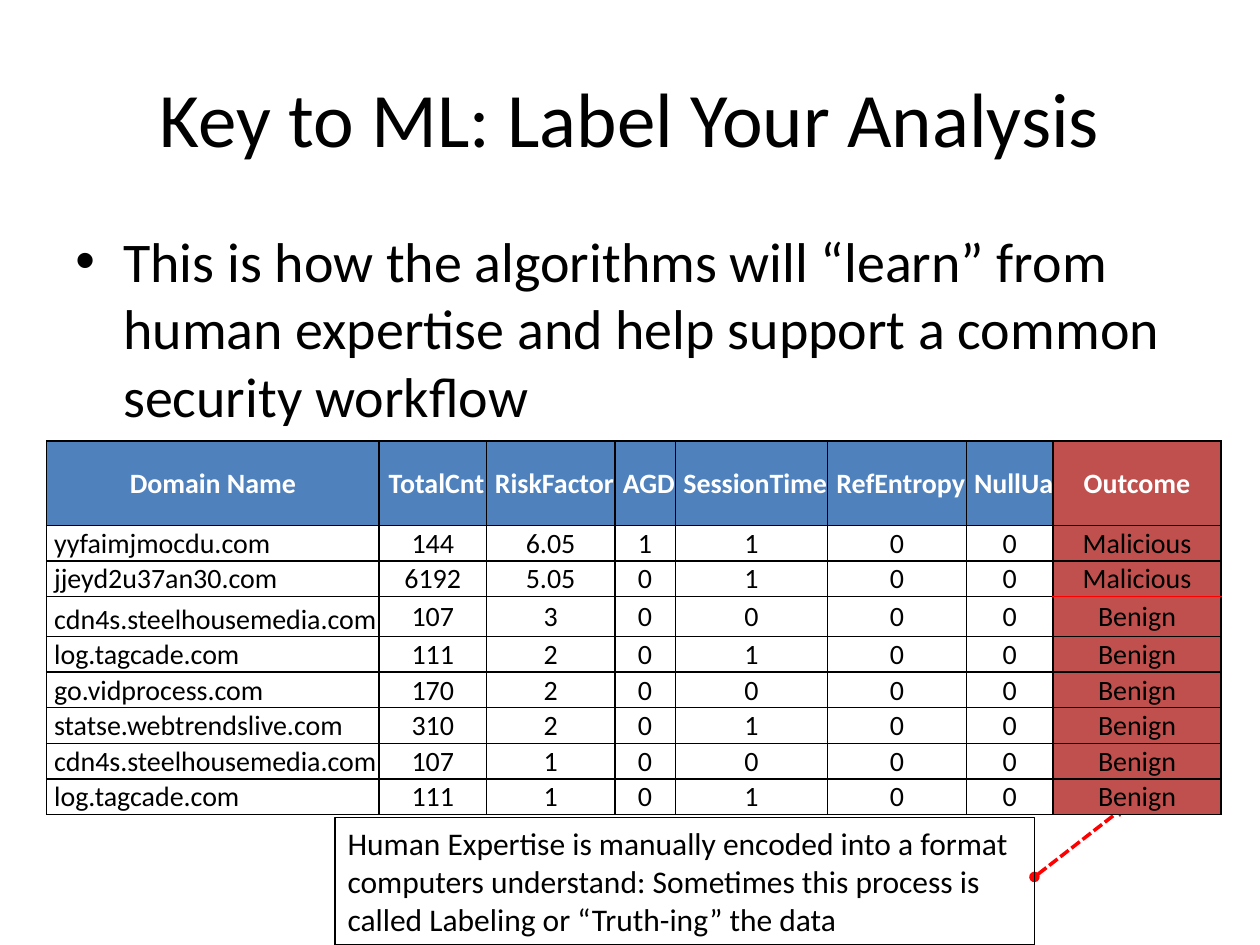
from lxml.etree import SubElement
from pptx import Presentation
from pptx.dml.color import RGBColor
from pptx.enum.dml import MSO_LINE
from pptx.enum.shapes import MSO_CONNECTOR, MSO_SHAPE
from pptx.enum.text import MSO_ANCHOR, PP_ALIGN
from pptx.oxml.ns import qn
from pptx.util import Inches, Pt

TITLE = "Key to ML: Label Your Analysis"
MESSAGE = ("This is how the algorithms will “learn” from human expertise "
           "and help support a common security workflow")
CALLOUT = ("Human Expertise is manually encoded into a format computers understand: "
           "Sometimes this process is called Labeling or “Truth-ing” the data")
HEADERS = ["Domain Name", "TotalCnt", "RiskFactor", "AGD",
           "SessionTime", "RefEntropy", "NullUa", "Outcome"]
DOMAINS = [
    ("yyfaimjmocdu.com", "144", "6.05", "1", "1", "0", "0", "Malicious"),
    ("jjeyd2u37an30.com", "6192", "5.05", "0", "1", "0", "0", "Malicious"),
    ("cdn4s.steelhousemedia.com", "107", "3", "0", "0", "0", "0", "Benign"),
    ("log.tagcade.com", "111", "2", "0", "1", "0", "0", "Benign"),
    ("go.vidprocess.com", "170", "2", "0", "0", "0", "0", "Benign"),
    ("statse.webtrendslive.com", "310", "2", "0", "1", "0", "0", "Benign"),
    ("cdn4s.steelhousemedia.com", "107", "1", "0", "0", "0", "0", "Benign"),
    ("log.tagcade.com", "111", "1", "0", "1", "0", "0", "Benign"),
]
COLUMN_WIDTHS = [2.64, 0.85, 1.02, 0.48, 1.21, 1.1, 0.69, 1.33]
HEADER_HEIGHT, ROW_HEIGHT, TALL_ROW_HEIGHT = 0.67, 0.28, 0.32
FIRST_BENIGN = 3
OUTCOME = len(HEADERS) - 1

BLACK, WHITE, BLUE, BRICK, RED = "000000", "FFFFFF", "4F81BD", "C0504D", "FF0000"
TABLE_LEFT, TABLE_TOP = 0.37, 3.5
CALLOUT_BOX = (2.66, 6.49, 5.55, 1.01)


def color(value):
    return RGBColor.from_string(value)


def write(frame, text, size, align=PP_ALIGN.LEFT, shade=BLACK, bold=False):
    paragraph = frame.paragraphs[0]
    paragraph.alignment = align
    span = paragraph.add_run()
    span.text = text
    font_format = {"name": "Calibri", "size": Pt(size), "bold": bold}
    for name, value in font_format.items():
        setattr(span.font, name, value)
    span.font.color.rgb = color(shade)


def place(shape, left, top, width, height):
    bounds = {"left": left, "top": top, "width": width, "height": height}
    for name, value in bounds.items():
        setattr(shape, name, Inches(value))


def add_bullet(paragraph, indent):
    properties = paragraph._p.get_or_add_pPr()
    properties.set("marL", str(Inches(indent)))
    properties.set("indent", str(-Inches(indent)))
    SubElement(properties, qn("a:buFont"), typeface="Arial")
    SubElement(properties, qn("a:buChar"), char="•")


def set_borders(cell, top=BLACK, bottom=BLACK):
    properties = cell._tc.get_or_add_tcPr()
    sides = {"a:lnL": BLACK, "a:lnR": BLACK, "a:lnT": top, "a:lnB": bottom}
    for side, shade in sides.items():
        line = SubElement(properties, qn(side), w=str(Pt(1)))
        fill = SubElement(line, qn("a:solidFill"))
        SubElement(fill, qn("a:srgbClr"), val=shade)


def format_cell(cell, row, column, text):
    is_header = row == 0
    is_domain = column == 0 and not is_header
    padded = is_domain or (is_header and 0 < column < OUTCOME)
    cell_format = {
        "margin_left": Inches(0.06 if padded else 0.01),
        "margin_right": Inches(0 if padded else 0.01),
        "margin_top": Inches(0.01),
        "margin_bottom": 0,
        "vertical_anchor": MSO_ANCHOR.BOTTOM if is_domain else MSO_ANCHOR.MIDDLE,
    }
    for name, value in cell_format.items():
        setattr(cell, name, value)
    on_outcome = column == OUTCOME
    set_borders(cell,
                top=RED if on_outcome and row == FIRST_BENIGN else BLACK,
                bottom=RED if on_outcome and row == FIRST_BENIGN - 1 else BLACK)
    if on_outcome or is_header:
        cell.fill.solid()
        cell.fill.fore_color.rgb = color(BRICK if on_outcome else BLUE)
    else:
        cell.fill.background()
    write(cell.text_frame, text, 16,
          PP_ALIGN.LEFT if is_domain else PP_ALIGN.CENTER,
          WHITE if is_header else BLACK, is_header)


def add_domain_table(page):
    rows = [HEADERS, *DOMAINS]
    heights = [HEADER_HEIGHT] + [ROW_HEIGHT] * len(DOMAINS)
    heights[FIRST_BENIGN] = TALL_ROW_HEIGHT
    table = page.shapes.add_table(
        len(rows), len(HEADERS), Inches(TABLE_LEFT), Inches(TABLE_TOP),
        Inches(sum(COLUMN_WIDTHS)), Inches(sum(heights))).table
    table.horz_banding = False
    for column, width in zip(table.columns, COLUMN_WIDTHS):
        column.width = Inches(width)
    for row, (values, height) in enumerate(zip(rows, heights)):
        table.rows[row].height = Inches(height)
        for column, text in enumerate(values):
            format_cell(table.cell(row, column), row, column, text)


def add_arrow(page, start, end):
    arrow = page.shapes.add_connector(
        MSO_CONNECTOR.STRAIGHT, *(Inches(value) for value in (*start, *end)))
    arrow.line.color.rgb = color(RED)
    arrow.line.width = Pt(2)
    arrow.line.dash_style = MSO_LINE.SQUARE_DOT
    line = arrow.line._get_or_add_ln()
    SubElement(line, qn("a:headEnd"), type="oval")
    SubElement(line, qn("a:tailEnd"), type="triangle")
    SubElement(arrow._element.spPr, qn("a:effectLst"))


def add_message(page):
    box = page.shapes.add_textbox(0, 0, 0, 0)
    place(box, 0.5, 1.75, 9, 1.75)
    box.text_frame.word_wrap = True
    add_bullet(box.text_frame.paragraphs[0], 0.38)
    write(box.text_frame, MESSAGE, 32)


def add_callout(page):
    box = page.shapes.add_shape(
        MSO_SHAPE.RECTANGLE, *(Inches(value) for value in CALLOUT_BOX))
    box.shadow.inherit = False
    box.fill.background()
    box.line.color.rgb = color(BLACK)
    box.line.width = Pt(0.75)
    box.text_frame.word_wrap = True
    box.text_frame.vertical_anchor = MSO_ANCHOR.TOP
    write(box.text_frame, CALLOUT, 18)


def main():
    deck = Presentation()
    deck.slide_width, deck.slide_height = Inches(10), Inches(7.5)
    page = deck.slides.add_slide(deck.slide_layouts[5])

    title = page.shapes.title
    place(title, 0.5, 0.3, 9, 1.25)
    title.text_frame.vertical_anchor = MSO_ANCHOR.MIDDLE
    write(title.text_frame, TITLE, 44, PP_ALIGN.CENTER)

    left, top, width, height = CALLOUT_BOX
    add_arrow(page, (left + width, 6.96), (8.93, 6.4))
    add_domain_table(page)
    add_message(page)
    add_callout(page)
    deck.save("out.pptx")


if __name__ == "__main__":
    main()
